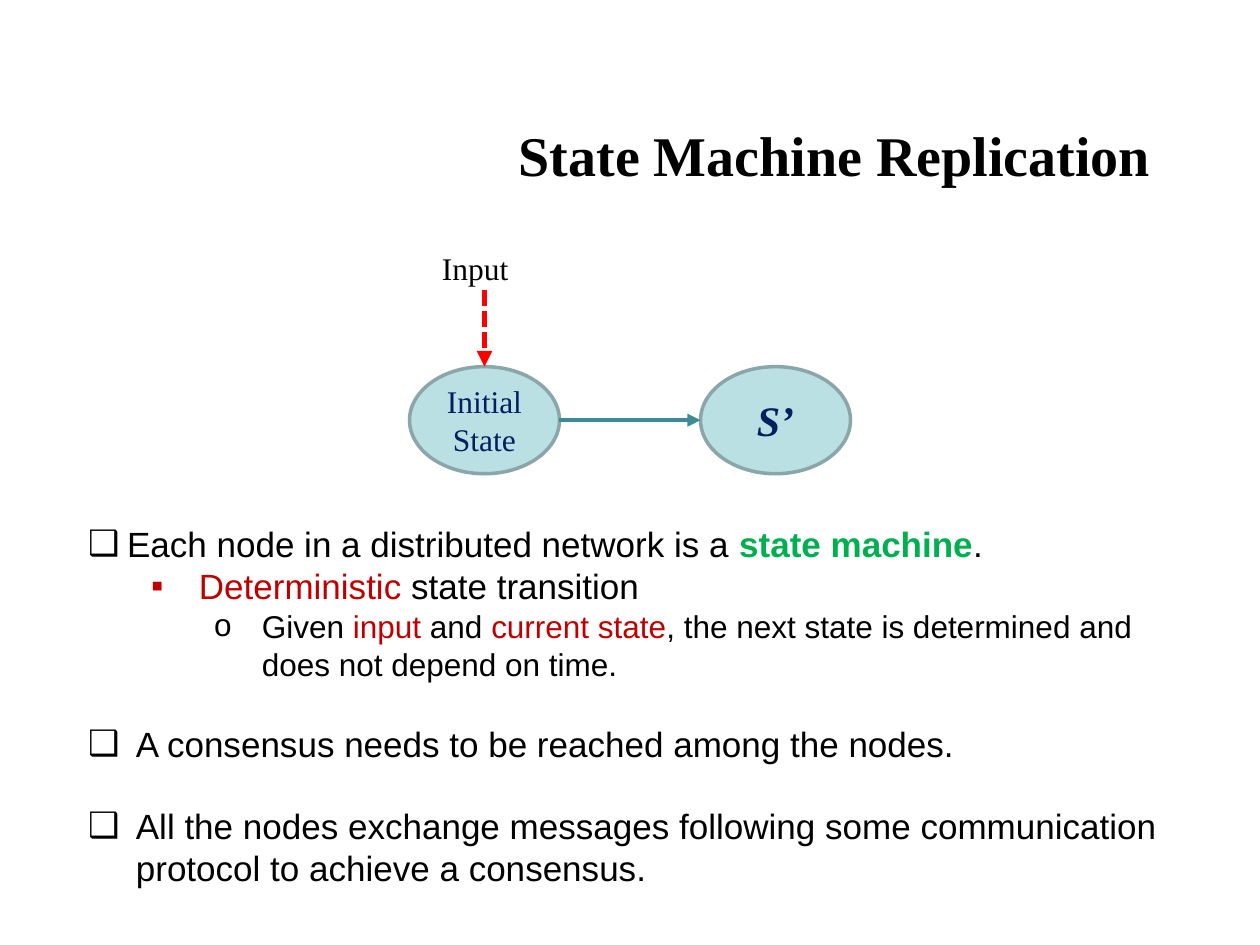
from lxml import etree
from pptx import Presentation
from pptx.dml.color import RGBColor
from pptx.enum.dml import MSO_LINE_DASH_STYLE as Dash
from pptx.enum.shapes import MSO_CONNECTOR as Connector, MSO_SHAPE as Shape
from pptx.enum.text import MSO_ANCHOR as Anchor, PP_ALIGN as Align
from pptx.oxml.ns import qn
from pptx.util import Inches, Pt

COLORS = {
    "black": "000000", "red": "C00000", "green": "00B050", "navy": "002060",
    "state": "BBE0E3", "outline": "8AA6A8", "input": "FF0000", "step": "3C8C93",
}
SERIF, SANS = "Times New Roman", "Arial"


def color(name):
    return RGBColor.from_string(COLORS[name])


def add_text(para, text, size=18, font=SERIF, tint="black", bold=False, italic=False):
    span = para.add_run()
    span.text = text
    span.font.size, span.font.name = Pt(size), font
    span.font.bold, span.font.italic = bold, italic
    span.font.color.rgb = color(tint)


class SlideBuilder:
    def __init__(self, deck):
        self.page = deck.slides.add_slide(deck.slide_layouts[5])

    def title(self, text, left, top, width, height):
        box = self.page.shapes.title
        box.left, box.top = Inches(left), Inches(top)
        box.width, box.height = Inches(width), Inches(height)
        box.text_frame.vertical_anchor = Anchor.MIDDLE
        para = box.text_frame.paragraphs[0]
        para.alignment = Align.CENTER
        add_text(para, text, size=32, bold=True)

    def text_box(self, left, top, width, height):
        box = self.page.shapes.add_textbox(
            Inches(left), Inches(top), Inches(width), Inches(height))
        box.text_frame.word_wrap = True
        return box.text_frame

    def label(self, text, left, top, width, height):
        frame = self.text_box(left, top, width, height)
        add_text(frame.paragraphs[0], text)

    def bullets(self, items, left, top, width, height):
        frame = self.text_box(left, top, width, height)
        for index, (level, mark, indent, hang, size, gap, spans) in enumerate(items):
            para = frame.add_paragraph() if index else frame.paragraphs[0]
            para.level, para.space_before = level, Pt(gap)
            props = para._p.get_or_add_pPr()
            props.set("marL", str(Inches(indent)))
            props.set("indent", str(-Inches(hang)))
            etree.SubElement(props, qn("a:buFont"), typeface=SANS)
            etree.SubElement(props, qn("a:buChar"), char=mark)
            for text, tint in spans:
                add_text(para, text, size=size, font=SANS, tint=tint, bold=tint == "green")

    def state(self, text, left, top, width, height, **style):
        oval = self.page.shapes.add_shape(
            Shape.OVAL, Inches(left), Inches(top), Inches(width), Inches(height))
        oval.shadow.inherit = False
        oval.fill.solid()
        oval.fill.fore_color.rgb = color("state")
        oval.line.color.rgb = color("outline")
        oval.line.width = Pt(2)
        oval.text_frame.word_wrap = True
        oval.text_frame.vertical_anchor = Anchor.MIDDLE
        para = oval.text_frame.paragraphs[0]
        para.alignment = Align.CENTER
        add_text(para, text, tint="navy", **style)

    def arrow(self, start, end, tint, weight, dash=None):
        line = self.page.shapes.add_connector(
            Connector.STRAIGHT, *map(Inches, start), *map(Inches, end))
        line.line.color.rgb = color(tint)
        line.line.width = Pt(weight)
        if dash:
            line.line.dash_style = dash
        etree.SubElement(line.line._get_or_add_ln(), qn("a:tailEnd"), type="triangle")
        etree.SubElement(line._element.spPr, qn("a:effectLst"))


def main():
    deck = Presentation()
    deck.slide_width, deck.slide_height = Inches(10), Inches(7.5)
    slide = SlideBuilder(deck)
    slide.title("State Machine Replication", 3.04, 0.3, 7.17, 1.84)

    # Explanation: level, mark, indent, hang, size, gap above, coloured spans
    slide.bullets([
        (0, "❑", 0.31, 0.31, 20, 0, [
            ("Each node in a distributed network is a ", "black"),
            ("state machine", "green"), (".", "black")]),
        (1, "▪", 0.88, 0.38, 20, 0, [
            ("Deterministic", "red"), (" state transition", "black")]),
        (2, "o", 1.38, 0.38, 18, 0, [
            ("Given ", "black"), ("input", "red"), (" and ", "black"),
            ("current state", "red"),
            (", the next state is determined and does not depend on time.", "black")]),
        (0, "❑", 0.38, 0.38, 20, 23, [
            ("A consensus needs to be reached among the nodes.", "black")]),
        (0, "❑", 0.38, 0.38, 20, 23, [
            ("All the nodes exchange messages following some communication "
             "protocol to achieve a consensus.", "black")]),
    ], 0.6, 4.1, 8.79, 3.06)

    # State diagram
    first, second, top, width, height = 3.25, 5.56, 2.91, 1.19, 0.85
    center, middle = first + width / 2, top + height / 2
    slide.state("Initial State", first, top, width, height)
    slide.arrow((center, 2.3), (center, top), "input", 3, Dash.SQUARE_DOT)
    slide.label("Input", 3.41, 1.93, 0.87, 0.37)
    slide.state("S’", second, top, width, height, size=24, bold=True, italic=True)
    slide.arrow((first + width, middle), (second, middle), "step", 2.5)

    deck.save("out.pptx")


if __name__ == "__main__":
    main()
